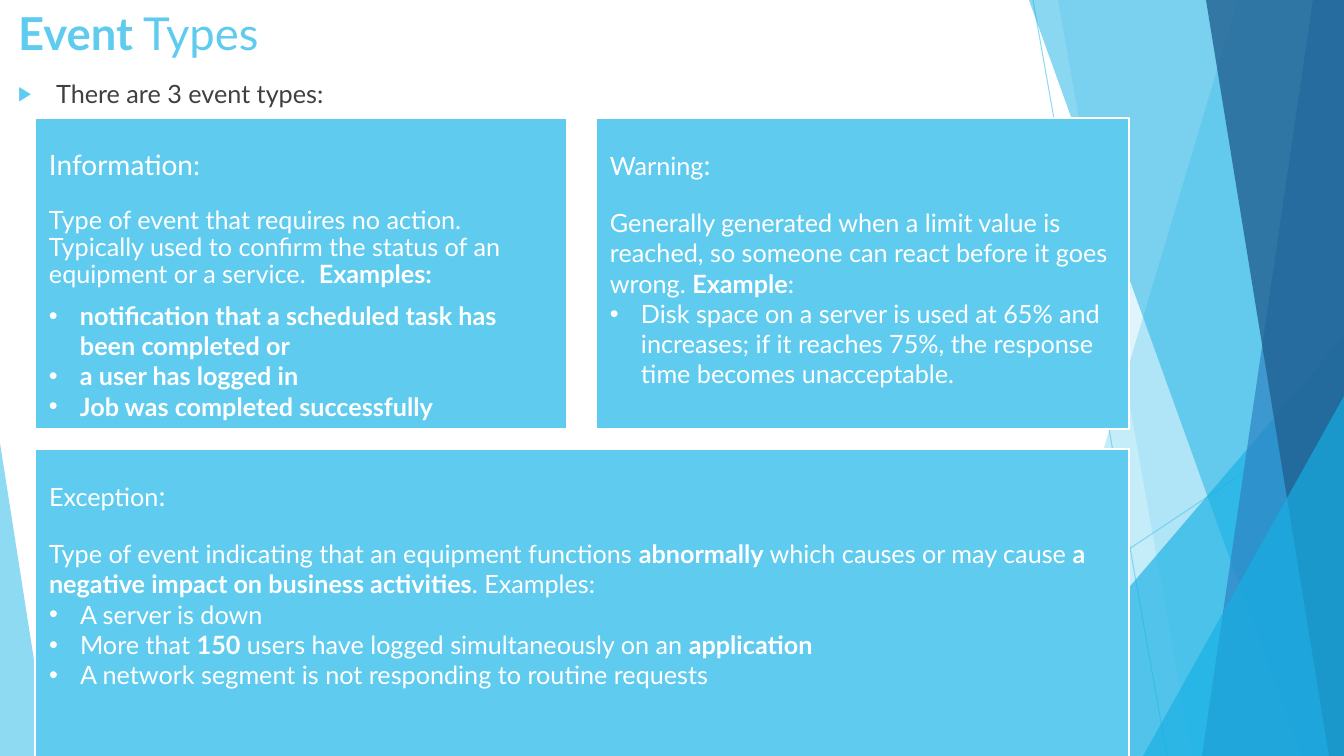
"""Build the Event Types slide: a faceted backdrop, an intro line and three cards."""
import lxml.etree
import pptx
import pptx.dml.color
import pptx.enum.shapes
import pptx.enum.text
import pptx.oxml.ns
import pptx.util

WIDTH, HEIGHT = 1344, 756
PX = 12192000 / WIDTH
FONT = "Lato"
COLOURS = {"sky": "5FCBEF", "azure": "17B0E4", "blue": "2E83C3", "navy": "226292",
           "text": "404040", "white": "FFFFFF"}
qn = pptx.oxml.ns.qn


def colour(name):
    return pptx.dml.color.RGBColor.from_string(COLOURS[name])


def add_bullet(para, char, indent, tint, percent):
    props = para._p.get_or_add_pPr()
    props.set("marL", str(round(indent * PX)))
    props.set("indent", str(round(-indent * PX)))
    tint_node = lxml.etree.SubElement(props, qn("a:buClr"))
    lxml.etree.SubElement(tint_node, qn("a:srgbClr"), val=COLOURS[tint])
    lxml.etree.SubElement(props, qn("a:buSzPct"), val=str(percent * 1000))
    lxml.etree.SubElement(props, qn("a:buFont"), typeface="Arial")
    lxml.etree.SubElement(props, qn("a:buChar"), char=char)


deck = pptx.Presentation()
deck.slide_width, deck.slide_height = round(WIDTH * PX), round(HEIGHT * PX)
page = deck.slides.add_slide(deck.slide_layouts[1])

for ends in [(1033, 0, 1167, HEIGHT), (WIDTH, 406, 818, HEIGHT)]:
    line = page.shapes.add_connector(pptx.enum.shapes.MSO_CONNECTOR.STRAIGHT,
                                     *[round(end * PX) for end in ends])
    line.line.width = pptx.util.Pt(0.75)
    line.line.color.rgb = colour("sky")
    tint = line.line._ln.find(".//" + qn("a:srgbClr"))
    lxml.etree.SubElement(tint, qn("a:alpha"), val="70000")
    lxml.etree.SubElement(line._element.spPr, qn("a:effectLst"))

# Each facet: side edge x, top x, top y, bottom x, colour, opacity in percent
facets = [
    (WIDTH, 1238, 0, 1012, "sky", 36),
    (WIDTH, 1058, 0, 1192, "sky", 20),
    (WIDTH, WIDTH, 336, 985, "azure", 66),
    (WIDTH, 1029, 0, 1301, "azure", 50),
    (WIDTH, 1313, 0, 1202, "blue", 70),
    (WIDTH, 1206, 0, 1329, "navy", 80),
    (WIDTH, WIDTH, 396, 1143, "azure", 66),
    (0, 0, 443, 49, "sky", 70),
]
for edge, top_x, top_y, bottom_x, fill, opacity in facets:
    outline = page.shapes.build_freeform(top_x, top_y, scale=PX)
    outline.add_line_segments([(edge, top_y), (edge, HEIGHT), (bottom_x, HEIGHT)])
    facet = outline.convert_to_shape()
    facet.shadow.inherit = False
    facet.fill.solid()
    facet.fill.fore_color.rgb = colour(fill)
    tint = facet._element.spPr.find(".//" + qn("a:srgbClr"))
    lxml.etree.SubElement(tint, qn("a:alpha"), val=str(opacity * 1000))
    facet.line.fill.background()

title, body = page.shapes.title, page.placeholders[1]
for holder, box in [(title, (8, 0, 948, 56)), (body, (8, 73, 1309, 656))]:
    holder.left, holder.top, holder.width, holder.height = [round(side * PX) for side in box]
    holder.text_frame.auto_size = pptx.enum.text.MSO_AUTO_SIZE.NONE
    holder.text_frame.vertical_anchor = pptx.enum.text.MSO_ANCHOR.TOP

para = title.text_frame.paragraphs[0]
para.alignment = pptx.enum.text.PP_ALIGN.LEFT
para.font.name, para.font.size = FONT, pptx.util.Pt(32.4)
para.font.color.rgb = colour("sky")
for text, bold in [("Event", True), (" Types", False)]:
    span = para.add_run()
    span.text, span.font.bold = text, bold

para = body.text_frame.paragraphs[0]
para.text = "There are 3 event types:"
add_bullet(para, "▶", 38, "sky", 80)
para.space_before = pptx.util.Pt(0)
para.font.name, para.font.size = FONT, pptx.util.Pt(18)
para.font.color.rgb = colour("text")

# Asterisks switch bold on and off
cards = [
    ((35, 118, 532, 311), "Information", 20, 0.9, 8,
     "Type of event that requires no action. Typically used to confirm the status of an "
     "equipment or a service.  *Examples:*",
     ["*notification that a scheduled task has been completed or*",
      "*a user has logged in*",
      "*Job was completed successfully*"]),
    ((596, 118, 533, 311), "Warning", 18, 1.0, 0,
     "Generally generated when a limit value is reached, so someone can react before it "
     "goes wrong. *Example*:",
     ["Disk space on a server is used at 65% and increases; if it reaches 75%, the "
      "response time becomes unacceptable."]),
    ((35, 449, 1094, 316), "Exception", 18, 1.0, 0,
     "Type of event indicating that an equipment functions *abnormally* which causes or "
     "may cause *a negative impact on business activities*. Examples:",
     ["A server is down",
      "More that *150* users have logged simultaneously on an *application*",
      "A network segment is not responding to routine requests"]),
]
for box, heading, heading_size, spacing, gap, summary, examples in cards:
    card = page.shapes.add_shape(pptx.enum.shapes.MSO_SHAPE.RECTANGLE,
                                 *[round(side * PX) for side in box])
    card.shadow.inherit = False
    card.fill.solid()
    card.fill.fore_color.rgb = colour("sky")
    card.line.color.rgb = colour("white")
    card.line.width = pptx.util.Pt(1.5)
    frame = card.text_frame
    frame.word_wrap = True
    frame.vertical_anchor = pptx.enum.text.MSO_ANCHOR.TOP
    frame.margin_left = frame.margin_right = round(14 * PX)
    frame.margin_top = frame.margin_bottom = round(14 * PX)

    for index, text in enumerate([heading, summary, *examples]):
        para = frame.paragraphs[0] if index == 0 else frame.add_paragraph()
        if index > 1:
            add_bullet(para, "•", 31, "white", 100)
        para.alignment = pptx.enum.text.PP_ALIGN.LEFT
        para.line_spacing = (0.9, spacing)[index] if index < 2 else 1.0
        para.space_after = pptx.util.Pt((15, gap)[index] if index < 2 else 0)
        para.font.name, para.font.size = FONT, pptx.util.Pt(18)
        para.font.color.rgb = colour("white")
        if index == 0:
            for part, size in [(text, heading_size), (":", 20), (" ", 36)]:
                span = para.add_run()
                span.text, span.font.size = part, pptx.util.Pt(size)
            continue
        for order, part in enumerate(text.split("*")):
            if part:
                span = para.add_run()
                span.text, span.font.bold = part, order % 2 == 1

deck.save("out.pptx")
